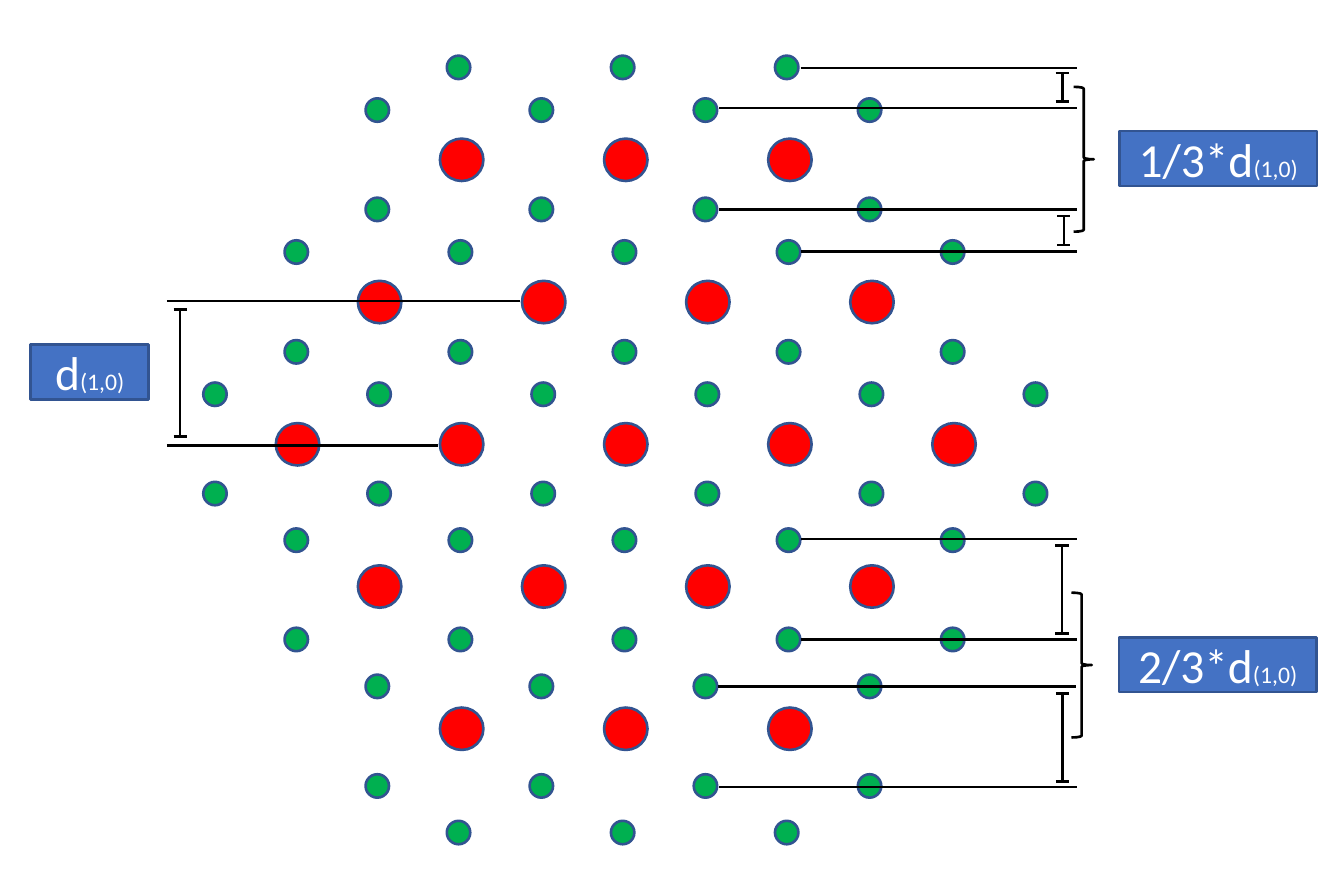
from pptx import Presentation
from pptx.dml.color import RGBColor
from pptx.enum.shapes import MSO_CONNECTOR, MSO_SHAPE
from pptx.enum.text import MSO_ANCHOR, PP_ALIGN
from pptx.oxml.ns import qn
from pptx.util import Pt
from lxml.etree import SubElement

RED = RGBColor(0xFF, 0x00, 0x00)
GREEN = RGBColor(0x00, 0xB0, 0x50)
BLUE = RGBColor(0x44, 0x72, 0xC4)
NAVY = RGBColor(0x32, 0x54, 0x91)
BLACK = RGBColor(0x00, 0x00, 0x00)
WHITE = RGBColor(0xFF, 0xFF, 0xFF)

# Lattice: (centre y, dots in the row); centre x depends on the row length
PITCH = 62.3
RED_ROWS = [(60.7 + 54 * i, 5 - abs(i - 2)) for i in range(5)]
RED_MID = dict.fromkeys((3, 4, 5), 237.6)
GREEN_ROWS = [(25.6, 3), (41.8, 4), (79.5, 4), (95.7, 5), (133.6, 5), (149.7, 6),
              (187.4, 6), (205.1, 5), (242.8, 5), (260.6, 4), (298.4, 4), (316.1, 3)]
GREEN_MID = {3: 236.4, 4: 236.7, 5: 237.1, 6: 237.4}
DOTS = [(RED_ROWS, RED_MID, RED, 16.5, 16.1), (GREEN_ROWS, GREEN_MID, GREEN, 8.9, 8.9)]

# Level lines: (left, right, y)
LEVELS = [(63.4, 197.3, 114.3), (63.4, 166.3, 169.1),
          (304, 409, 25.8), (273, 409, 41), (273, 409, 79.5), (304, 409, 95.6),
          (304, 409, 204.7), (304, 409, 242.7), (272.5, 408.5, 260.7), (273, 409, 298.8)]

# Distance gauges: (x, top, bottom)
GAUGES = [(68.4, 117.5, 165.8), (403.3, 27.7, 38.5), (403.9, 82, 93),
          (403.2, 207, 240.5), (403.4, 263.2, 296.8)]
CAP = 2.5

# Braces (left, top) and labels (text, left, top, width)
BRACES = [(407.6, 33), (406.8, 225)]
LABELS = [("d", 11.7, 130.7, 44.8), ("1/3*d", 425, 49.7, 75), ("2/3*d", 424.8, 241.9, 75)]
INDEX = "(1,0)"

deck = Presentation()
deck.slide_width, deck.slide_height = Pt(510.24), Pt(340.16)
slide = deck.slides.add_slide(deck.slide_layouts[6])


def shape(kind, x, y, w, h, fill, edge):
    item = slide.shapes.add_shape(kind, Pt(x), Pt(y), Pt(w), Pt(h))
    item.shadow.inherit = False
    if fill is None:
        item.fill.background()
    else:
        item.fill.solid()
        item.fill.fore_color.rgb = fill
    item.line.color.rgb = edge
    item.line.width = Pt(1)
    return item


def line(x1, y1, x2, y2):
    item = slide.shapes.add_connector(
        MSO_CONNECTOR.STRAIGHT, Pt(x1), Pt(y1), Pt(x2), Pt(y2))
    item.line.color.rgb = BLACK
    item.line.width = Pt(1)
    SubElement(item._element.spPr, qn("a:effectLst"))


def style(target, values):
    for name, value in values.items():
        setattr(target, name, value)


# Dots
for rows, mid, fill, w, h in DOTS:
    for y, count in rows:
        first = mid[count] - PITCH * (count - 1) / 2
        for i in range(count):
            shape(MSO_SHAPE.OVAL, first + i * PITCH - w / 2, y - h / 2, w, h, fill, NAVY)

# Level lines
for left, right, y in LEVELS:
    line(left, y, right, y)

# Gauges with end caps
for x, top, bottom in GAUGES:
    line(x, top, x, bottom)
    for y in (top, bottom):
        line(x - CAP, y, x + CAP, y)

# Braces
for x, y in BRACES:
    shape(MSO_SHAPE.RIGHT_BRACE, x, y, 7.7, 55, None, BLACK)

# Labels
FRAME = {"margin_left": 0, "margin_right": 0, "margin_top": 0, "margin_bottom": 0,
         "word_wrap": False, "vertical_anchor": MSO_ANCHOR.MIDDLE}
for text, x, y, w in LABELS:
    frame = shape(MSO_SHAPE.RECTANGLE, x, y, w, 20.9, BLUE, NAVY).text_frame
    style(frame, FRAME)
    para = frame.paragraphs[0]
    para.alignment = PP_ALIGN.CENTER
    for part, size in ((text, 18), (INDEX, 9)):
        run = para.add_run()
        run.text = part
        style(run.font, {"name": "Calibri", "size": Pt(size)})
        run.font.color.rgb = WHITE

deck.save("out.pptx")
